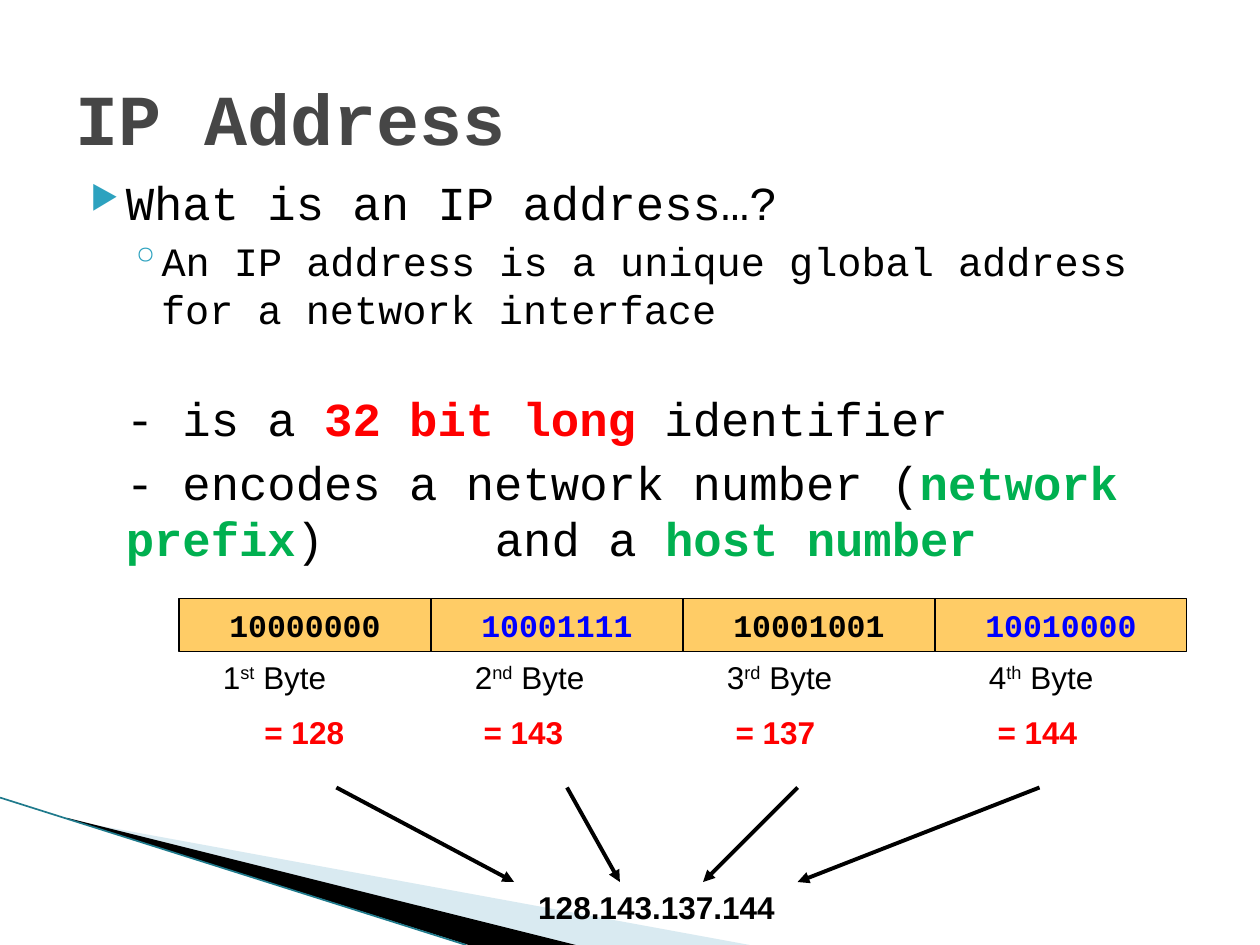
import pptx
import pptx.util
import pptx.dml.color
import pptx.enum.shapes
import pptx.enum.text
import pptx.oxml
import pptx.oxml.ns

Inches, Pt = pptx.util.Inches, pptx.util.Pt
ALIGN = pptx.enum.text.PP_ALIGN
MID = pptx.enum.text.MSO_ANCHOR.MIDDLE
MONO, SANS = "Courier New", "Arial"
BLACK, RED, GREEN, BLUE = "000000", "FF0000", "00B050", "0000FF"


def color(code):
    return pptx.dml.color.RGBColor.from_string(code)


def add_xml(node, tag, inner="", **attrs):
    """Append one a: element, with its attributes, to a node."""
    text = "".join(f' {key}="{val}"' for key, val in attrs.items())
    node.append(pptx.oxml.parse_xml(
        f'<a:{tag} {pptx.oxml.ns.nsdecls("a")}{text}>{inner}</a:{tag}>'))


def add_run(para, text, size, font, hue=BLACK, bold=False, base=0):
    run = para.add_run()
    run.text = text
    run.font.size, run.font.name, run.font.bold = Pt(size), font, bold
    run.font.color.rgb = color(hue)
    if base:
        run.font._element.set("baseline", str(base * 1000))


def add_box(slide, left, top, width, height):
    box = slide.shapes.add_textbox(
        Inches(left), Inches(top), Inches(width), Inches(height))
    box.text_frame.word_wrap = True
    return box.text_frame


def add_bullet(para, mark, left, hang, size=100):
    props = para._p.get_or_add_pPr()
    props.set("marL", str(Inches(left)))
    props.set("indent", str(-Inches(hang)))
    add_xml(props, "buClr", '<a:srgbClr val="2DA2BF"/>')
    add_xml(props, "buSzPct", val=size * 1000)
    add_xml(props, "buChar", char=mark)


def add_line(slide, start, end, hue, width, arrow=False):
    line = slide.shapes.add_connector(
        pptx.enum.shapes.MSO_CONNECTOR.STRAIGHT,
        *(Inches(val) for val in (*start, *end)))
    line.line.color.rgb = color(hue)
    line.line.width = Pt(width)
    if arrow:
        add_xml(line.line._get_or_add_ln(), "tailEnd", type="triangle")
    add_xml(line._element.spPr, "effectLst")


def add_swoosh(slide, left, top):
    """Corner wedges and edge line; points are offsets from left, top."""
    wedges = [
        ("A0CBDC", 40, [(0.55, 0.18), (5.95, 1.17), (4.56, 1.17), (0.55, 0.17)]),
        (BLACK, 100, [(0.53, 0.16), (4.57, 1.17), (3.72, 1.17), (0.54, 0.17)]),
    ]
    for hue, alpha, points in wedges:
        spots = [(Inches(left + x), Inches(top + y)) for x, y in points]
        form = slide.shapes.build_freeform(*spots[0])
        form.add_line_segments(spots[1:], close=True)
        wedge = form.convert_to_shape()
        wedge.shadow.inherit = False
        wedge.fill.solid()
        wedge.fill.fore_color.rgb = color(hue)
        wedge.line.fill.background()
        if alpha < 100:
            tint = wedge._element.spPr.find(".//" + pptx.oxml.ns.qn("a:srgbClr"))
            add_xml(tint, "alpha", val=alpha * 1000)
    add_line(slide, (left, top), (left + 3.7, top + 1.17), "1F7A8C", 0.95)


def add_title(slide, left, top, width, height):
    frame = add_box(slide, left, top, width, height)
    frame.vertical_anchor = MID
    add_run(frame.paragraphs[0], "IP Address", 41, MONO, "464646", True)


def add_body(slide, left, top, width):
    # Bulleted question and answer
    frame = add_box(slide, left, top, width, 1.7)
    para = frame.paragraphs[0]
    para.space_before = Pt(4)
    add_bullet(para, "▶", 0.4, 0.28, 68)
    add_run(para, "What is an IP address…?", 27, MONO)
    para = frame.add_paragraph()
    para.space_before = Pt(3.2)
    add_bullet(para, "◦", 0.68, 0.25)
    add_run(para, "An IP address is a unique global address for a network interface",
            23, MONO)

    # Dashed facts, in line with the question
    facts = [
        [("- is a ", BLACK), ("32 bit long", RED), (" identifier", BLACK)],
        [("- encodes a network number (", BLACK), ("network prefix", GREEN),
         (")\tand a ", BLACK), ("host number", GREEN)],
    ]
    frame = add_box(slide, left + 0.4, top + 1.71, width - 0.4, 1.5)
    for i, parts in enumerate(facts):
        para = frame.add_paragraph() if i else frame.paragraphs[0]
        para.space_before = Pt(4)
        add_xml(para._p.get_or_add_pPr(), "tabLst",
                f'<a:tab pos="{Inches(2.93)}" algn="l"/>')
        for text, hue in parts:
            add_run(para, text, 27, MONO, hue, hue != BLACK)


def add_byte(slide, left, top, bits, hue, note, rank, end, value, align):
    """One byte: its bits in a cell, its rank and value below."""
    cell = slide.shapes.add_shape(
        pptx.enum.shapes.MSO_SHAPE.RECTANGLE,
        Inches(left), Inches(top), Inches(2), Inches(0.42))
    cell.shadow.inherit = False
    cell.fill.solid()
    cell.fill.fore_color.rgb = color("FFCC66")
    cell.line.color.rgb = color(BLACK)
    cell.line.width = Pt(0.75)
    frame = cell.text_frame
    frame.word_wrap, frame.vertical_anchor = False, MID
    para = frame.paragraphs[0]
    para.alignment = ALIGN.CENTER
    add_run(para, bits, 18, MONO, hue, True)

    frame = add_box(slide, left + note, top + 0.42, 1.42, 1.1)
    para = frame.paragraphs[0]
    add_run(para, rank, 18, SANS)
    add_run(para, end, 18, SANS, base=30)
    add_run(para, " Byte", 18, SANS)
    para = frame.add_paragraph()
    para.alignment, para.space_before = align, Pt(10)
    add_run(para, f" = {value}", 18, SANS, RED, True)


def add_bytes(slide, left, top):
    rows = [
        ("10000000", BLACK, 0.25, "1", "st", 128, ALIGN.CENTER),
        ("10001111", BLUE, 0.25, "2", "nd", 143, ALIGN.LEFT),
        ("10001001", BLACK, 0.25, "3", "rd", 137, ALIGN.LEFT),
        ("10010000", BLUE, 0.33, "4", "th", 144, ALIGN.LEFT),
    ]
    for i, row in enumerate(rows):
        add_byte(slide, left + 2 * i, top, *row)


def add_sum(slide, left, top, width):
    """Dotted address, with an arrow from each byte."""
    para = add_box(slide, left, top, width, 0.5).paragraphs[0]
    para.alignment = ALIGN.CENTER
    add_run(para, "128.143.137.144", 18, SANS, BLACK, True)
    for start, end in [(-0.75, 0.66), (1.08, 1.5), (2.91, 2.16), (4.83, 2.91)]:
        add_line(slide, (left + start, top - 0.75), (left + end, top),
                 BLACK, 2.25, True)


def main():
    deck = pptx.Presentation()
    deck.slide_width, deck.slide_height = Inches(10), Inches(7.5)
    slide = deck.slides.add_slide(deck.slide_layouts[6])
    add_swoosh(slide, 0, 6.33)
    add_body(slide, 0.5, 1.33, 9)
    add_title(slide, 0.5, 0.3, 9, 1.25)
    add_bytes(slide, 1.42, 4.75)
    add_sum(slide, 3.42, 7, 3.58)
    deck.save("out.pptx")


if __name__ == "__main__":
    main()
